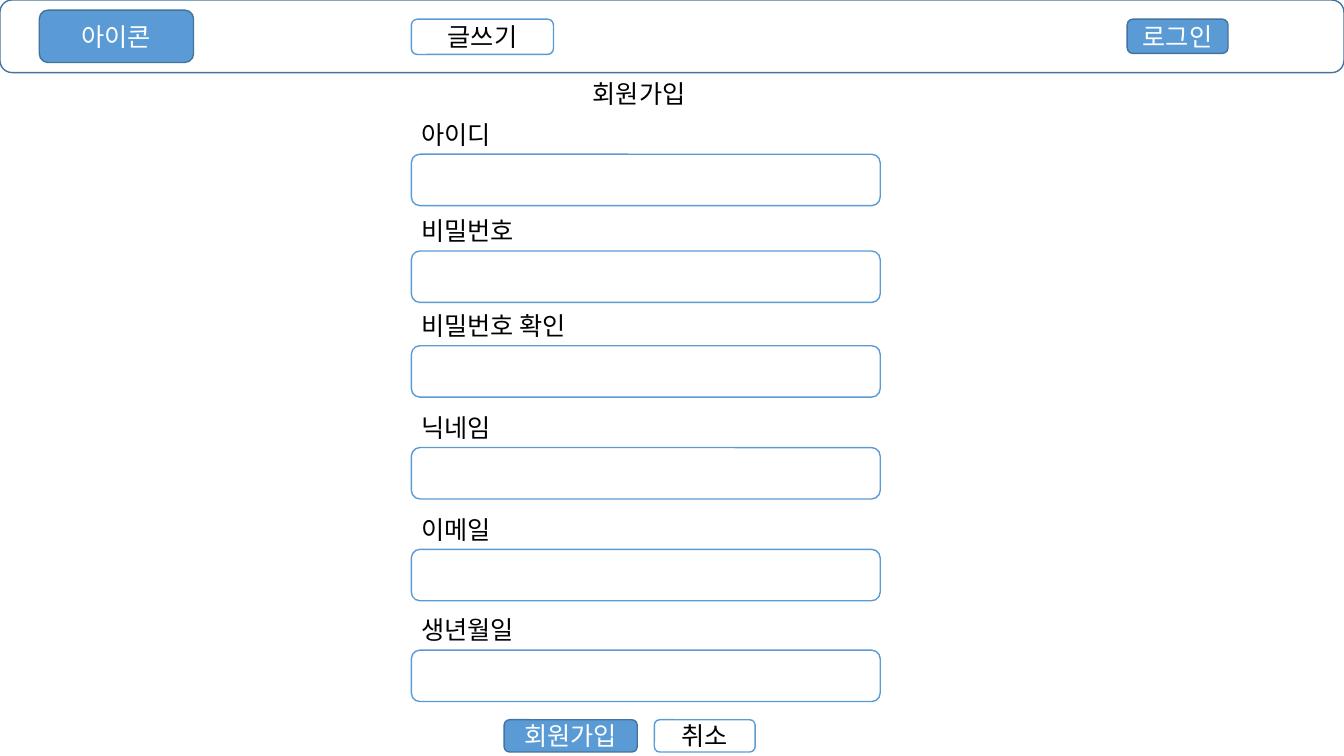
from dataclasses import dataclass

from lxml import etree
from pptx import Presentation
from pptx.dml.color import RGBColor
from pptx.enum.shapes import MSO_SHAPE
from pptx.enum.text import MSO_ANCHOR, MSO_AUTO_SIZE, PP_ALIGN
from pptx.oxml.ns import qn
from pptx.util import Inches, Pt

WHITE = RGBColor(0xFF, 0xFF, 0xFF)
BLACK = RGBColor(0x00, 0x00, 0x00)
BLUE = RGBColor(0x5B, 0x9B, 0xD5)
DARK_BLUE = RGBColor(0x43, 0x73, 0x9E)
FONT = "Noto Sans CJK KR"

FORM_LEFT = 4.08
FIELD_WIDTH, FIELD_HEIGHT = 4.65, 0.51
LABEL_HEIGHT = 0.4


@dataclass(frozen=True)
class Style:
    fill: RGBColor
    line: RGBColor
    text: RGBColor


PRIMARY = Style(BLUE, DARK_BLUE, WHITE)
OUTLINED = Style(WHITE, BLUE, BLACK)
HEADER = Style(WHITE, DARK_BLUE, BLACK)


@dataclass(frozen=True)
class Box:
    left: float
    top: float
    width: float
    height: float
    style: Style
    text: str = ""


@dataclass(frozen=True)
class Field:
    label: str
    top: float
    label_width: float


HEADER_BOXES = [
    Box(0, 0, 13.33, 0.72, HEADER),
    Box(0.39, 0.1, 1.53, 0.52, PRIMARY, "아이콘"),
    Box(FORM_LEFT, 0.19, 1.41, 0.35, OUTLINED, "글쓰기"),
    Box(11.18, 0.19, 1, 0.34, PRIMARY, "로그인"),
]
FIELDS = [
    Field("아이디", 1.53, 0.96),
    Field("비밀번호", 2.49, 1.21),
    Field("비밀번호 확인", 3.43, 1.81),
    Field("닉네임", 4.44, 0.96),
    Field("이메일", 5.45, 0.96),
    Field("생년월일", 6.45, 1.21),
]
FORM_BUTTONS = [
    Box(5, 7.14, 1.32, 0.32, PRIMARY, "회원가입"),
    Box(6.49, 7.14, 1, 0.32, OUTLINED, "취소"),
]


def write_text(frame, text: str, color: RGBColor) -> None:
    run = frame.paragraphs[0].add_run()
    run.text = text
    run.font.size = Pt(18)
    run.font.color.rgb = color
    run.font.name = FONT
    # Hangul takes the East Asian typeface
    etree.SubElement(run.font._element, qn("a:ea"), typeface=FONT)


def add_box(slide, box: Box) -> None:
    shape = slide.shapes.add_shape(
        MSO_SHAPE.ROUNDED_RECTANGLE, Inches(box.left), Inches(box.top),
        Inches(box.width), Inches(box.height))
    shape.shadow.inherit = False
    shape.fill.solid()
    shape.fill.fore_color.rgb = box.style.fill
    shape.line.color.rgb = box.style.line
    shape.line.width = Pt(1)
    if box.text:
        frame = shape.text_frame
        frame.vertical_anchor = MSO_ANCHOR.MIDDLE
        frame.paragraphs[0].alignment = PP_ALIGN.CENTER
        write_text(frame, box.text, box.style.text)


def add_label(slide, text: str, left: float, top: float, width: float) -> None:
    frame = slide.shapes.add_textbox(
        Inches(left), Inches(top), Inches(width), Inches(LABEL_HEIGHT)).text_frame
    frame.word_wrap = False
    frame.auto_size = MSO_AUTO_SIZE.SHAPE_TO_FIT_TEXT
    write_text(frame, text, BLACK)


def add_field(slide, field: Field) -> None:
    add_box(slide, Box(FORM_LEFT, field.top, FIELD_WIDTH, FIELD_HEIGHT, OUTLINED))
    add_label(slide, field.label, FORM_LEFT, field.top - LABEL_HEIGHT, field.label_width)


prs = Presentation()
prs.slide_width, prs.slide_height = Inches(13.33), Inches(7.5)
slide = prs.slides.add_slide(prs.slide_layouts[6])

# Header bar
for header_box in HEADER_BOXES:
    add_box(slide, header_box)

# Sign-up form
add_label(slide, "회원가입", 5.78, 0.73, 1.21)
for form_field in FIELDS:
    add_field(slide, form_field)

# Form buttons
for button in FORM_BUTTONS:
    add_box(slide, button)

prs.save("out.pptx")
